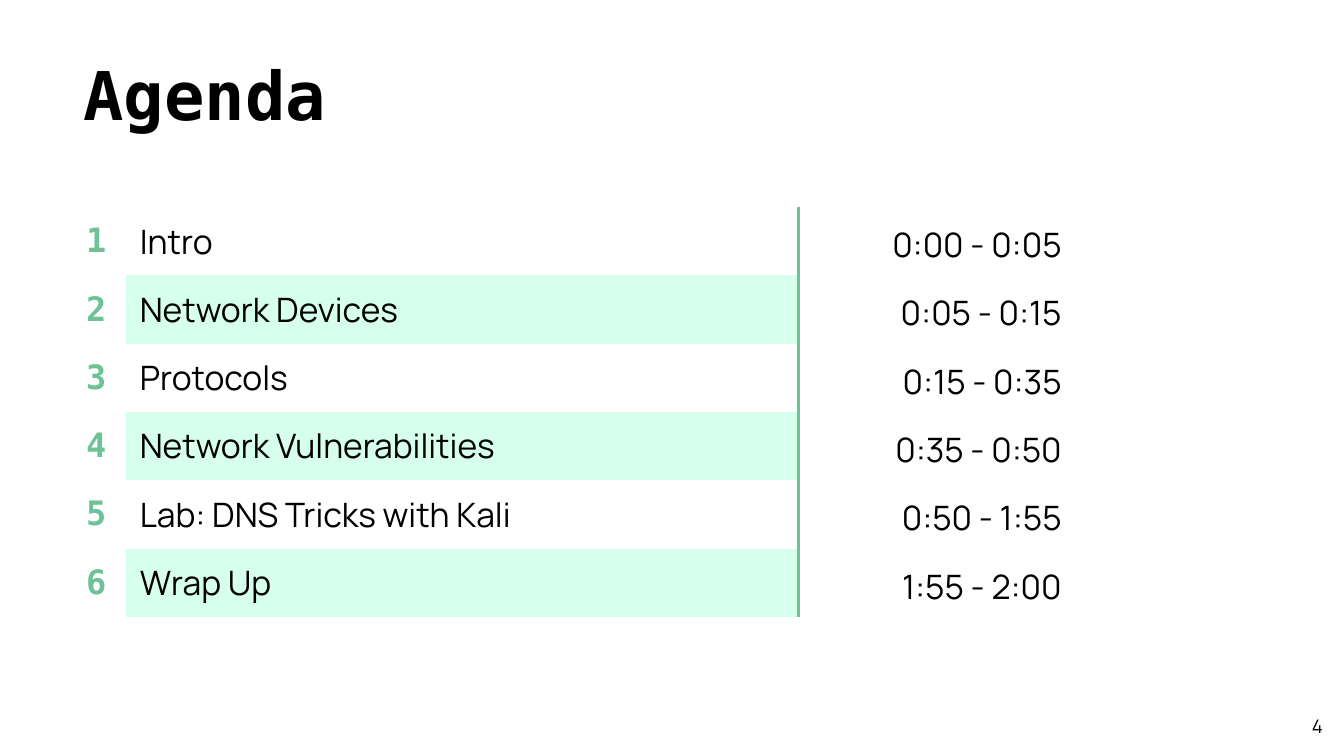
import pptx
import pptx.util
import pptx.dml.color
import pptx.enum.text
import pptx.oxml
import pptx.oxml.ns
from dataclasses import dataclass

Inch = pptx.util.Inches
Pt = pptx.util.Pt
Align = pptx.enum.text.PP_ALIGN
Anchor = pptx.enum.text.MSO_ANCHOR


@dataclass(frozen=True)
class Theme:
    head: str = "DejaVu Sans Mono"
    body: str = "Manrope"
    ink: str = "000000"
    green: str = "6EC396"
    mint: str = "D7FFEE"
    title: int = 36
    text: int = 18
    small: int = 10
    rule: float = 1.5


THEME = Theme()
PLAIN_TABLE = "{2D5ABB26-0587-4C30-8999-92F81FD0307C}"
WIDTH = 10
HEIGHT = WIDTH * 9 / 16
COLS = (0.45, 5, 2.06)
AGENDA = (
    ("Intro", "0:00 - 0:05"),
    ("Network Devices", "0:05 - 0:15"),
    ("Protocols", "0:15 - 0:35"),
    ("Network Vulnerabilities", "0:35 - 0:50"),
    ("Lab: DNS Tricks with Kali", "0:50 - 1:55"),
    ("Wrap Up", "1:55 - 2:00"),
)
ROW = 3.05 / len(AGENDA)
TITLE = {"name": THEME.head, "size": Pt(THEME.title), "bold": True}
COUNT = {"name": THEME.head, "size": Pt(THEME.text), "bold": True}
BODY = {"name": THEME.body, "size": Pt(THEME.text), "bold": False}
PAGE = {"name": THEME.body, "size": Pt(THEME.small), "bold": False}


def apply(item, values):
    for name, value in values.items():
        setattr(item, name, value)


def paint(color, code):
    color.rgb = pptx.dml.color.RGBColor.from_string(code)


def write(frame, text, font, align, color=THEME.ink, pitch=None):
    para = frame.paragraphs[0]
    run = para.add_run()
    run.text = text
    apply(run.font, font)
    paint(run.font.color, color)
    apply(para, {"alignment": align, "line_spacing": pitch})


def pad(item, across, down, anchor=Anchor.MIDDLE):
    """Set equal side margins, equal top and bottom margins, and the anchor."""
    apply(item, {
        "margin_left": Inch(across), "margin_right": Inch(across),
        "margin_top": Inch(down), "margin_bottom": Inch(down),
        "vertical_anchor": anchor,
    })


def place(shape, left, top, width, height):
    apply(shape, {"left": Inch(left), "top": Inch(top),
                  "width": Inch(width), "height": Inch(height)})


def edge(cell, side):
    """Draw the green rule on one side, 'L' or 'R', of a cell."""
    line = pptx.oxml.parse_xml(
        f'<a:ln{side} {pptx.oxml.ns.nsdecls("a")} w="{Pt(THEME.rule)}">'
        f'<a:solidFill><a:srgbClr val="{THEME.green}"/></a:solidFill>'
        f'</a:ln{side}>')
    cell._tc.get_or_add_tcPr().insert(0, line)


def add_title(slide, text):
    title = slide.shapes.title
    place(title, 0.6, 0.38, 9.01, 0.72)
    pad(title.text_frame, 0.02, 0.02, Anchor.TOP)
    write(title.text_frame, text, TITLE, Align.LEFT)


def add_page(slide, text):
    box = slide.shapes.add_textbox(0, 0, 0, 0)
    place(box, 9.34, 5.24, 0.6, 0.33)
    box.text_frame.word_wrap = True
    pad(box.text_frame, 0.1, 0.1)
    write(box.text_frame, text, PAGE, Align.RIGHT)


def fill_row(cells, index, topic, time):
    count, name, span = cells
    for cell in cells:
        pad(cell, 0.1, 0)
        cell.fill.background()
    if index % 2 == 0:
        name.fill.solid()
        paint(name.fill.fore_color, THEME.mint)
    edge(name, "R")
    edge(span, "L")
    write(count.text_frame, str(index), COUNT, Align.CENTER, THEME.green)
    write(name.text_frame, topic, BODY, Align.LEFT)
    write(span.text_frame, time, BODY, Align.RIGHT, pitch=1.15)


def add_agenda(slide, items):
    frame = slide.shapes.add_table(
        len(items), len(COLS), Inch(0.49), Inch(1.54),
        Inch(sum(COLS)), Inch(ROW * len(items)))
    table = frame.table
    apply(table, {"first_row": False, "horz_banding": False})
    table._tbl.tblPr.find(
        pptx.oxml.ns.qn("a:tableStyleId")).text = PLAIN_TABLE
    for col, width in zip(table.columns, COLS):
        col.width = Inch(width)
    for index, (row, item) in enumerate(zip(table.rows, items), 1):
        row.height = Inch(ROW)
        fill_row(tuple(row.cells), index, *item)


def main():
    deck = pptx.Presentation()
    apply(deck, {"slide_width": Inch(WIDTH), "slide_height": Inch(HEIGHT)})
    slide = deck.slides.add_slide(deck.slide_layouts.get_by_name("Title Only"))
    add_title(slide, "Agenda")
    add_page(slide, "4")
    add_agenda(slide, AGENDA)
    deck.save("out.pptx")


if __name__ == "__main__":
    main()
